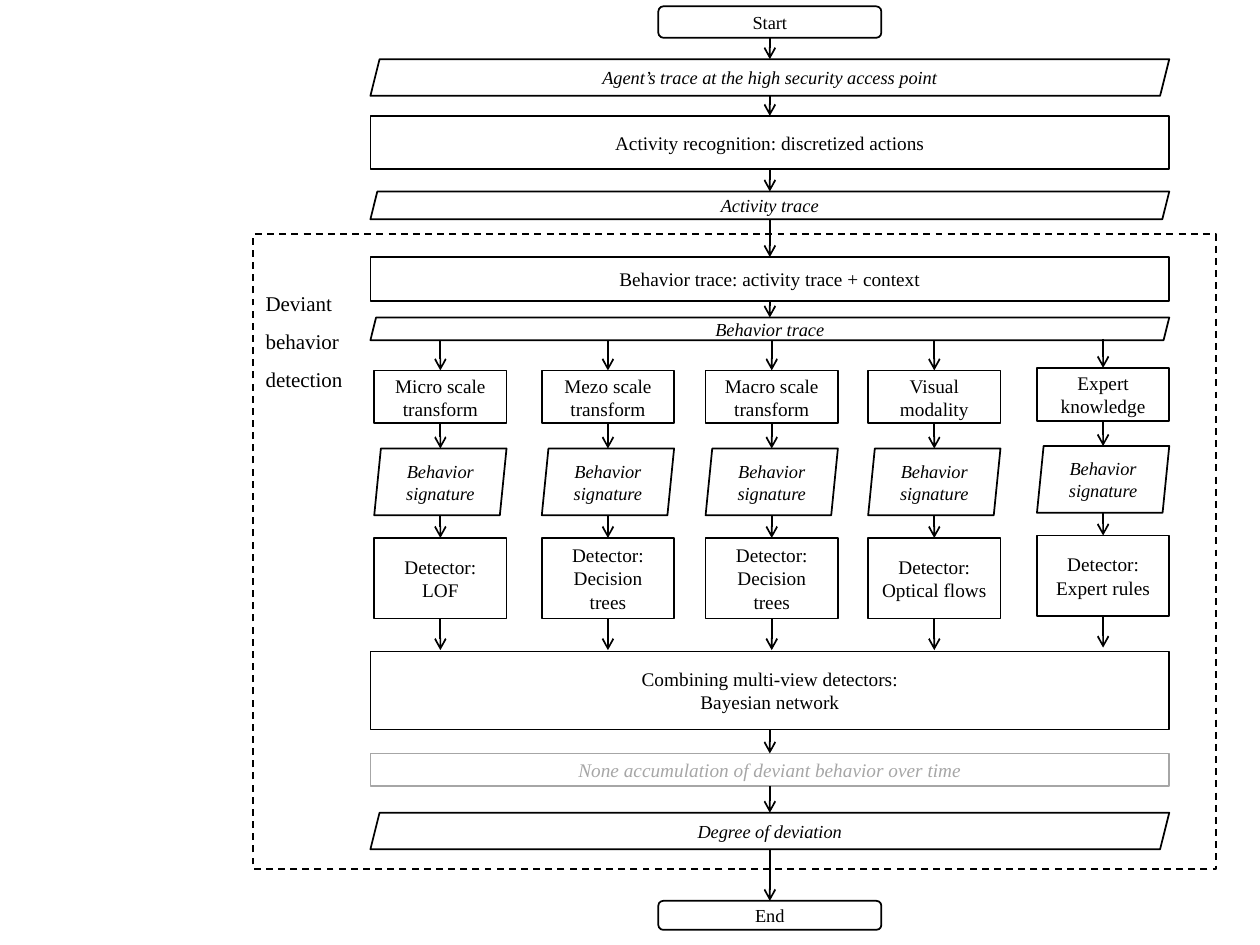
from lxml.etree import SubElement
from pptx import Presentation
from pptx.dml.color import RGBColor
from pptx.enum.dml import MSO_LINE
from pptx.enum.shapes import MSO_CONNECTOR, MSO_SHAPE
from pptx.enum.text import MSO_ANCHOR, PP_ALIGN
from pptx.oxml.ns import qn
from pptx.util import Inches, Pt

COLORS = {"ink": "000000", "muted": "A6A6A6"}
FONT = "Times New Roman"
TOP, BOTTOM = 0, 2  # connection sites of a rectangle

KINDS = {
    "terminal": {"preset": MSO_SHAPE.ROUNDED_RECTANGLE, "size": 10.5, "italic": False},
    "process": {"preset": MSO_SHAPE.RECTANGLE, "size": 11, "italic": False},
    "data": {"preset": MSO_SHAPE.PARALLELOGRAM, "size": 10.5, "italic": True},
    "unused": {"preset": MSO_SHAPE.RECTANGLE, "size": 11, "italic": True, "color": "muted"},
}

# kind, top, height, text
STEPS_BEFORE = [
    ("terminal", 0.05, 0.25, "Start"),
    ("data", 0.47, 0.29, "Agent’s trace at the high security access point"),
    ("process", 0.92, 0.42, "Activity recognition: discretized actions"),
    ("data", 1.52, 0.22, "Activity trace"),
    ("process", 2.04, 0.35, "Behavior trace: activity trace + context"),
    ("data", 2.52, 0.18, "Behavior trace"),
]
STEPS_AFTER = [
    ("process", 5.17, 0.62, "Combining multi-view detectors:\vBayesian network"),
    ("unused", 5.98, 0.26, "None accumulation of deviant behavior over time"),
    ("data", 6.45, 0.29, "Degree of deviation"),
    ("terminal", 7.15, 0.23, "End"),
]
# left, vertical shift, transform, detector
VIEWS = [
    (2.97, 0, "Micro scale transform", "Detector: LOF"),
    (4.30, 0, "Mezo scale transform", "Detector: Decision trees"),
    (5.60, 0, "Macro scale transform", "Detector: Decision trees"),
    (6.89, 0, "Visual modality", "Detector:\nOptical flows"),
    (8.23, -0.02, "Expert knowledge", "Detector: Expert rules"),
]
VIEW_ROWS = [("process", 2.94, 0.42), ("data", 3.56, 0.53), ("process", 4.27, 0.64)]
VIEW_WIDTH, VIEW_START, VIEW_END = 1.05, 2.71, 5.16

CENTER = 6.11
WIDTHS = {"terminal": 1.77, "process": 6.34, "data": 6.34, "unused": 6.34}
FRAME = (2.01, 1.86, 7.64, 5.04)
FRAME_LABEL = "Deviant\nbehavior\ndetection"


def rgb(name):
    return RGBColor.from_string(COLORS[name])


def add_box(slide, kind, box, text):
    style = KINDS[kind]
    color = rgb(style.get("color", "ink"))
    shape = slide.shapes.add_shape(style["preset"], *map(Inches, box))
    shape.shadow.inherit = False
    shape.fill.background()
    shape.line.color.rgb = color
    shape.line.width = Pt(1)
    shape.text_frame.text = text
    shape.text_frame.vertical_anchor = MSO_ANCHOR.MIDDLE
    font_values = {"name": FONT, "size": Pt(style["size"]), "italic": style["italic"]}
    for paragraph in shape.text_frame.paragraphs:
        paragraph.alignment = PP_ALIGN.CENTER
        for run in paragraph.runs:
            for attribute, value in font_values.items():
                setattr(run.font, attribute, value)
            run.font.color.rgb = color
    return shape


def add_arrow(slide, x, start, end, source=None, target=None):
    """Draw a downward arrow, joined to its boxes where these are rectangular."""
    arrow = slide.shapes.add_connector(
        MSO_CONNECTOR.STRAIGHT, *map(Inches, (x, start, x, end)))
    arrow.line.color.rgb = rgb("ink")
    arrow.line.width = Pt(1)
    properties = arrow.line._get_or_add_ln()
    SubElement(properties, qn("a:tailEnd"), type="arrow")
    SubElement(properties.getparent(), qn("a:effectLst"))
    for box, connect, site in ((source, arrow.begin_connect, BOTTOM),
                               (target, arrow.end_connect, TOP)):
        if box is not None and box.auto_shape_type != MSO_SHAPE.PARALLELOGRAM:
            connect(box, site)


def add_chain(slide, center, steps):
    """Stack (kind, top, height, width, text) boxes and link each to the next."""
    boxes = []
    for kind, top, height, width, text in steps:
        box = add_box(slide, kind, (center - width / 2, top, width, height), text)
        if boxes:
            add_arrow(slide, center, bottom, top, boxes[-1], box)
        boxes.append(box)
        bottom = top + height
    return boxes


def add_view(slide, left, shift, transform, detector):
    center = left + VIEW_WIDTH / 2
    texts = (transform, "Behavior signature", detector)
    steps = [(kind, top + shift, height, VIEW_WIDTH, text)
             for (kind, top, height), text in zip(VIEW_ROWS, texts)]
    first, signature, last = add_chain(slide, center, steps)
    signature.adjustments[0] = 0.1
    add_arrow(slide, center, VIEW_START + shift, steps[0][1], target=first)
    add_arrow(slide, center, steps[-1][1] + steps[-1][2], VIEW_END + shift, source=last)


def add_frame(slide):
    frame = add_box(slide, "process", FRAME, FRAME_LABEL)
    frame.line.dash_style = MSO_LINE.DASH
    frame.text_frame.vertical_anchor = MSO_ANCHOR.TOP
    frame.text_frame.margin_top = Inches(0.35)
    for paragraph in frame.text_frame.paragraphs:
        paragraph.alignment = PP_ALIGN.LEFT
        paragraph.line_spacing = 1.5
        paragraph.runs[0].font.size = Pt(12)


def main():
    presentation = Presentation()
    presentation.slide_width, presentation.slide_height = Inches(10), Inches(7.5)
    slide = presentation.slides.add_slide(presentation.slide_layouts[6])
    add_frame(slide)
    for steps in (STEPS_BEFORE, STEPS_AFTER):
        add_chain(slide, CENTER, [(kind, top, height, WIDTHS[kind], text)
                                  for kind, top, height, text in steps])
    for view in VIEWS:
        add_view(slide, *view)
    presentation.save("out.pptx")


if __name__ == "__main__":
    main()
